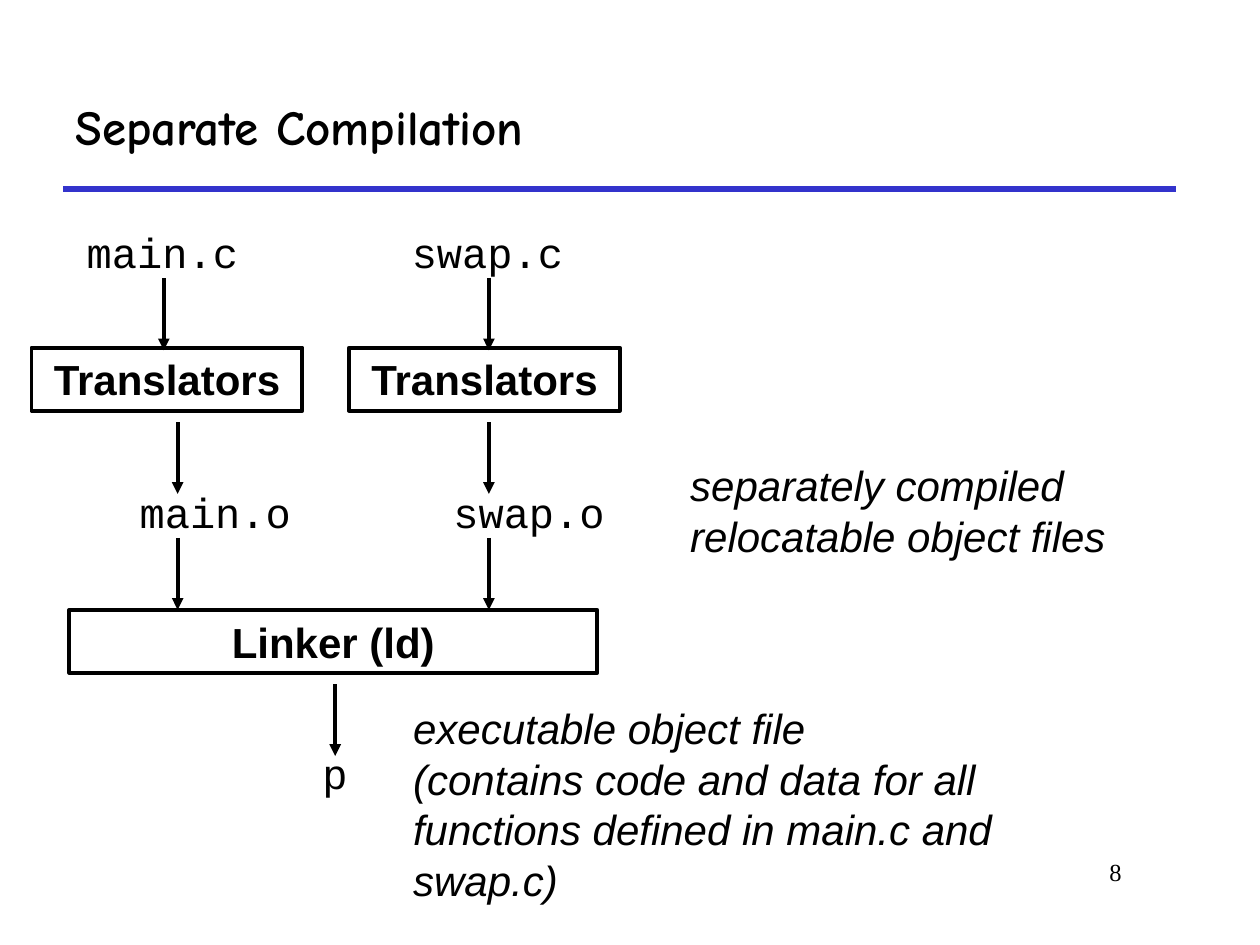
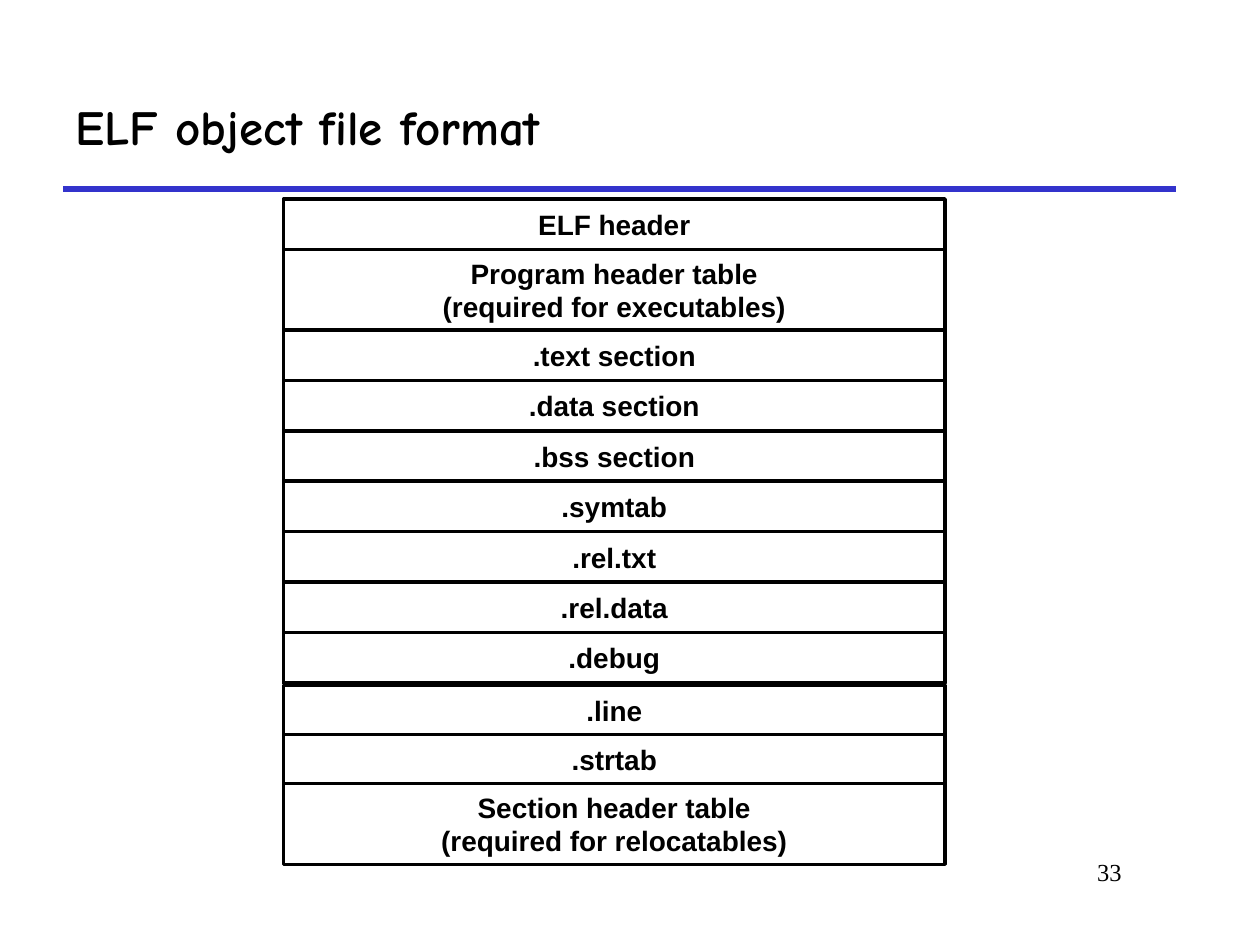
from lxml import etree
from pptx import Presentation
from pptx.dml.color import RGBColor
from pptx.enum import shapes, text
from pptx.oxml import ns
from pptx.util import Pt

PX = 9144  # EMU per px, 100 px to the inch
BLACK = RGBColor(0, 0, 0)
WHITE = RGBColor(255, 255, 255)
RULE_BLUE = RGBColor(0x33, 0x33, 0xCC)
SANS, MONO, SERIF, HAND = "Arial", "Courier New", "Times New Roman", "Comic Neue"
LEFT, CENTER, RIGHT = (text.PP_ALIGN.LEFT, text.PP_ALIGN.CENTER,
                       text.PP_ALIGN.RIGHT)
TOP, MIDDLE = text.MSO_ANCHOR.TOP, text.MSO_ANCHOR.MIDDLE


def emu(*lengths):
    return [length * PX for length in lengths]


def write(shape, lines, font, size, align=LEFT, anchor=TOP, wrap=True,
          bold=False, italic=False):
    frame = shape.text_frame
    frame.auto_size = text.MSO_AUTO_SIZE.NONE
    frame.word_wrap = wrap
    frame.vertical_anchor = anchor
    for index, line in enumerate(lines):
        para = frame.add_paragraph() if index else frame.paragraphs[0]
        para.alignment = align
        span = para.add_run()
        span.text = line
        span.font.name = font
        span.font.size = Pt(size)
        span.font.bold = bold
        span.font.italic = italic
        span.font.color.rgb = BLACK


def add_text(page, box, lines, font, size, **style):
    write(page.shapes.add_textbox(*emu(*box)), lines, font, size, **style)


def add_box(page, box, lines, size, weight, fill=None, **style):
    shape = page.shapes.add_shape(shapes.MSO_SHAPE.RECTANGLE, *emu(*box))
    shape.shadow.inherit = False
    if fill is None:
        shape.fill.background()
    else:
        shape.fill.solid()
        shape.fill.fore_color.rgb = fill
    shape.line.color.rgb = BLACK
    shape.line.width = Pt(weight)
    write(shape, lines, SANS, size, align=CENTER, bold=True, **style)


def add_line(page, start, end, color, weight, arrow=False):
    line = page.shapes.add_connector(
        shapes.MSO_CONNECTOR.STRAIGHT, *emu(*start, *end))
    line.line.color.rgb = color
    line.line.width = Pt(weight)
    if arrow:
        outline = line.line._get_or_add_ln()
        etree.SubElement(outline, ns.qn("a:tailEnd"), type="triangle")
    etree.SubElement(line._element.spPr, ns.qn("a:effectLst"))


def add_page(deck, title, number):
    """Title, rule and page number shared by every slide."""
    page = deck.slides.add_slide(deck.slide_layouts[5])
    heading = page.shapes.title
    heading.left, heading.top, heading.width, heading.height = emu(
        50, 50, 883, 100)
    write(heading, [title], HAND, 28, anchor=MIDDLE, bold=True)
    add_line(page, (50, 150), (933, 150), RULE_BLUE, 3)
    add_text(page, (758, 675, 142, 50), [number], SERIF, 14, align=RIGHT)
    return page


def draw_compilation(page, left, top):
    # Arrows between the stages
    for x, y in [(105, 46), (363, 46), (116, 160), (363, 160),
                 (116, 252), (363, 252), (241, 368)]:
        add_line(page, (left + x, top + y), (left + x, top + y + 57),
                 BLACK, 2.25, arrow=True)

    # Tools
    for tool, x, y, width in [("Translators", 0, 101, 215),
                              ("Translators", 252, 101, 215),
                              ("Linker (ld)", 30, 309, 419)]:
        add_box(page, (left + x, top + y, width, 50), [tool], 24, 2.25,
                anchor=TOP)

    # Files
    for name, x, y, width in [("main.c", 34, 0, 140), ("swap.c", 292, 0, 140),
                              ("main.o", 76, 206, 140),
                              ("swap.o", 325, 206, 140), ("p", 221, 413, 40)]:
        add_text(page, (left + x, top + y, width, 50), [name], MONO, 24,
                 wrap=False)

    # Explanations
    add_text(page, (left + 513, top + 185, 387, 90),
             ["separately compiled relocatable object files"], SANS, 24,
             italic=True)
    add_text(page, (left + 293, top + 378, 521, 170),
             ["executable object file",
              "(contains code and data for all functions defined in main.c "
              "and swap.c)"], SANS, 24, italic=True)


def draw_sections(page, left, top, width):
    # Stacked sections: lines of text, height
    loaded = [(["ELF header"], 40),
              (["Program header table", "(required for executables)"], 64)]
    loaded += [([name], 40) for name in (
        ".text section", ".data section", ".bss section", ".symtab",
        ".rel.txt", ".rel.data", ".debug")]
    trailing = [([".line"], 39), ([".strtab"], 39),
                (["Section header table", "(required for relocatables)"], 64)]
    for stack in (loaded, trailing):
        for lines, height in stack:
            add_box(page, (left, top, width, height), lines, 16, 2, WHITE,
                    anchor=MIDDLE, wrap=False)
            top += height
        top += 2  # gap between the two stacks


def main():
    deck = Presentation()
    deck.slide_width, deck.slide_height = emu(1000, 750)
    draw_compilation(add_page(deck, "Separate Compilation", "8"), 25, 175)
    draw_sections(add_page(deck, "ELF object file format", "33"), 225, 158, 525)
    deck.save("out.pptx")


if __name__ == "__main__":
    main()
